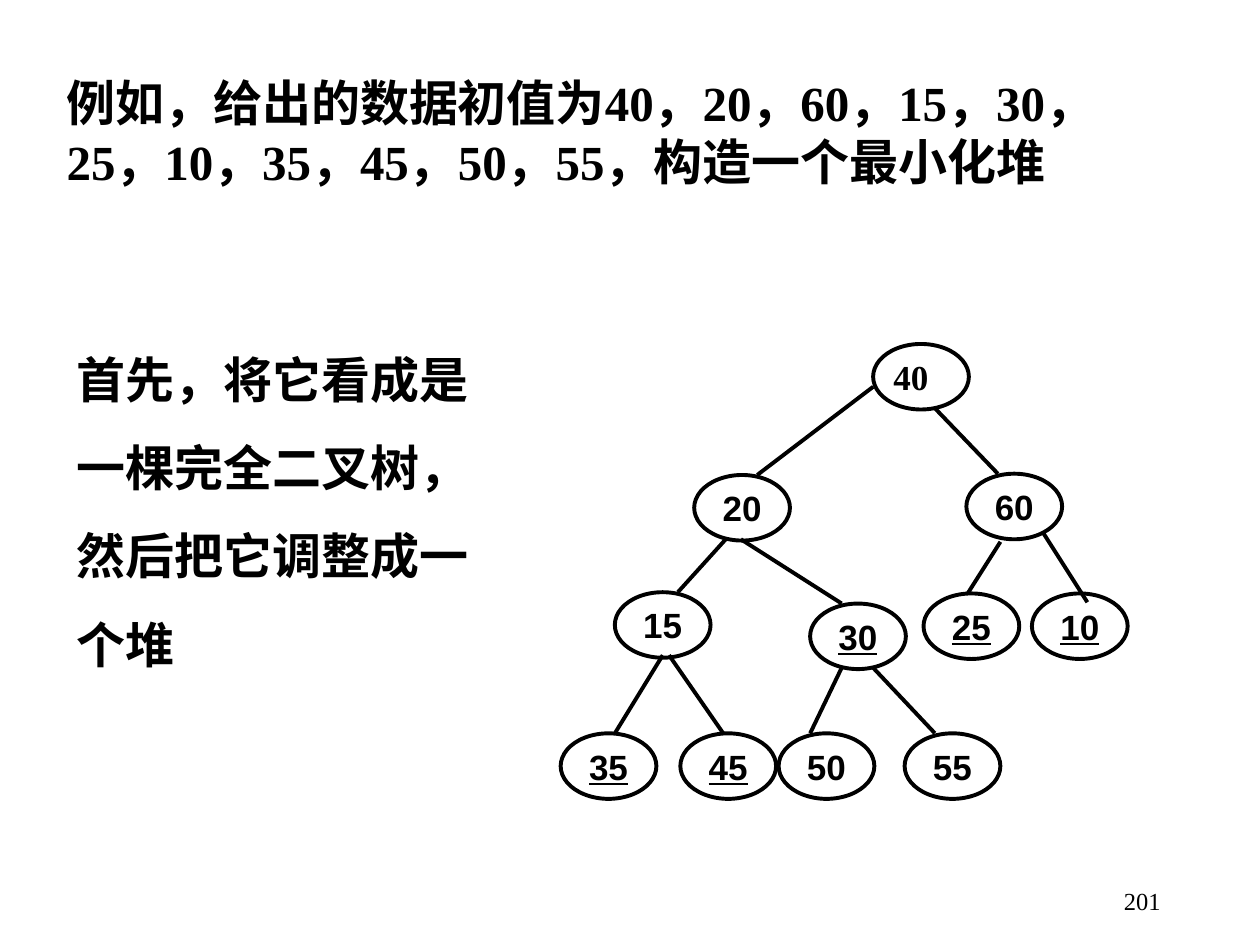
from typing import NamedTuple

from lxml.etree import SubElement
from pptx import Presentation
from pptx.dml.color import RGBColor
from pptx.enum.shapes import MSO_CONNECTOR, MSO_SHAPE
from pptx.enum.text import MSO_ANCHOR as Anchor, PP_ALIGN as Align
from pptx.oxml.ns import qn
from pptx.util import Inches, Pt

BLACK = RGBColor(0, 0, 0)
SERIF = "Times New Roman"
SANS = "Arial"
NODE_WIDTH, NODE_HEIGHT = 0.76, 0.52
STROKE = Pt(2.25)


class Node(NamedTuple):
    key: str
    left: float
    top: float
    underlined: bool = False
    font: str = SANS
    align: Align = Align.CENTER


class Edge(NamedTuple):
    x1: float
    y1: float
    x2: float
    y2: float


class Passage(NamedTuple):
    text: str
    left: float
    top: float
    width: float
    height: float
    size: int
    bold: bool = True
    align: Align = Align.LEFT
    anchor: Anchor = Anchor.MIDDLE
    line_spacing: float = 1.0


NODES = [
    Node("40", 6.93, 2.73, font=SERIF, align=Align.JUSTIFY),
    Node("20", 5.51, 3.77),
    Node("60", 7.67, 3.76),
    Node("15", 4.88, 4.7),
    Node("30", 6.43, 4.79, True),
    Node("25", 7.33, 4.71, True),
    Node("10", 8.19, 4.71, True),
    Node("35", 4.45, 5.82, True),
    Node("45", 5.4, 5.82, True),
    Node("50", 6.18, 5.82),
    Node("55", 7.18, 5.82),
]

EDGES = [
    Edge(6.93, 3.07, 6.01, 3.77),
    Edge(7.42, 3.24, 7.92, 3.76),
    Edge(5.76, 4.28, 5.38, 4.7),
    Edge(5.88, 4.28, 6.68, 4.79),
    Edge(7.94, 4.3, 7.68, 4.71),
    Edge(8.28, 4.23, 8.63, 4.78),
    Edge(5.26, 5.2, 4.88, 5.82),
    Edge(5.31, 5.2, 5.74, 5.82),
    Edge(6.68, 5.3, 6.43, 5.82),
    Edge(6.93, 5.3, 7.42, 5.82),
]

STRAY_ARROW = Edge(9.41, 3.89, 9.41, 3.89)

PASSAGES = [
    Passage("201", 7.06, 6.95, 2.25, 0.4, 14, bold=False, align=Align.RIGHT),
    Passage(
        "例如，给出的数据初值为40，20，60，15，30，25，10，35，45，50，55，构造一个最小化堆",
        0.43, 0.29, 8.91, 1.5, 28,
    ),
    Passage(
        "首先，将它看成是一棵完全二叉树，然后把它调整成一个堆",
        0.51, 2.49, 3.47, 2.9, 28, anchor=Anchor.TOP, line_spacing=1.5,
    ),
]


def style_font(font, name: str, size: int, bold: bool) -> None:
    font.name = name
    font.size = Pt(size)
    font.bold = bold
    font.color.rgb = BLACK


def draw_passage(slide, passage: Passage) -> None:
    box = slide.shapes.add_textbox(
        Inches(passage.left), Inches(passage.top),
        Inches(passage.width), Inches(passage.height),
    )
    frame = box.text_frame
    frame.word_wrap = True
    frame.vertical_anchor = passage.anchor
    paragraph = frame.paragraphs[0]
    paragraph.text = passage.text
    paragraph.alignment = passage.align
    paragraph.line_spacing = passage.line_spacing
    style_font(paragraph.font, SERIF, passage.size, passage.bold)


def draw_node(slide, node: Node) -> None:
    oval = slide.shapes.add_shape(
        MSO_SHAPE.OVAL, Inches(node.left), Inches(node.top),
        Inches(NODE_WIDTH), Inches(NODE_HEIGHT),
    )
    oval.shadow.inherit = False
    oval.fill.background()
    oval.line.color.rgb = BLACK
    oval.line.width = STROKE
    frame = oval.text_frame
    frame.margin_left = frame.margin_right = Inches(0.05)
    frame.margin_top = frame.margin_bottom = Inches(0.03)
    frame.vertical_anchor = Anchor.MIDDLE
    paragraph = frame.paragraphs[0]
    paragraph.text = node.key
    paragraph.alignment = node.align
    style_font(paragraph.font, node.font, 20, True)
    paragraph.font.underline = node.underlined


def draw_edge(slide, edge: Edge, arrow: bool = False) -> None:
    link = slide.shapes.add_connector(
        MSO_CONNECTOR.STRAIGHT, *(Inches(length) for length in edge)
    )
    link.line.color.rgb = BLACK
    link.line.width = STROKE
    properties = link._element.spPr
    if arrow:
        SubElement(properties.find(qn("a:ln")), qn("a:tailEnd"), type="triangle")
    SubElement(properties, qn("a:effectLst"))


def main() -> None:
    deck = Presentation()
    deck.slide_width, deck.slide_height = Inches(10), Inches(7.5)
    slide = deck.slides.add_slide(deck.slide_layouts[6])
    for passage in PASSAGES:
        draw_passage(slide, passage)
    for node in NODES:
        draw_node(slide, node)
    for edge in EDGES:
        draw_edge(slide, edge)
    draw_edge(slide, STRAY_ARROW, arrow=True)
    deck.save("out.pptx")


if __name__ == "__main__":
    main()
